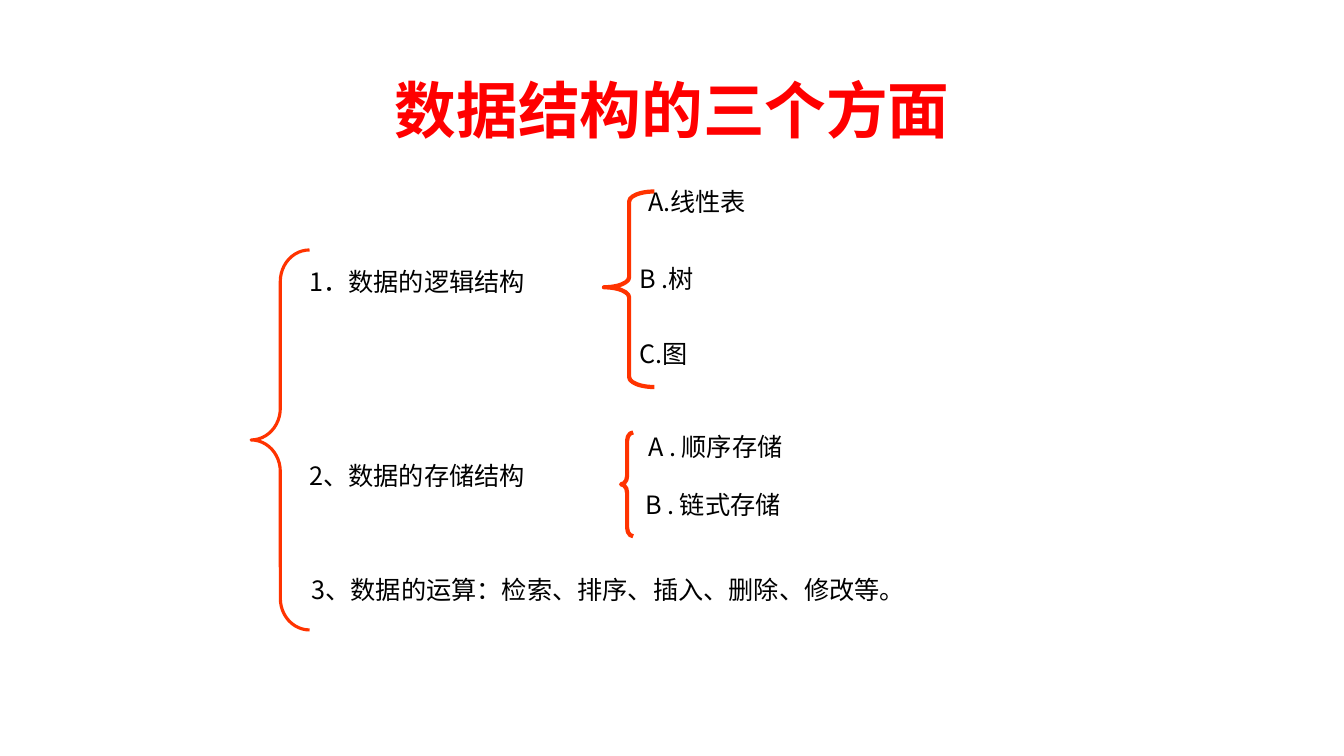
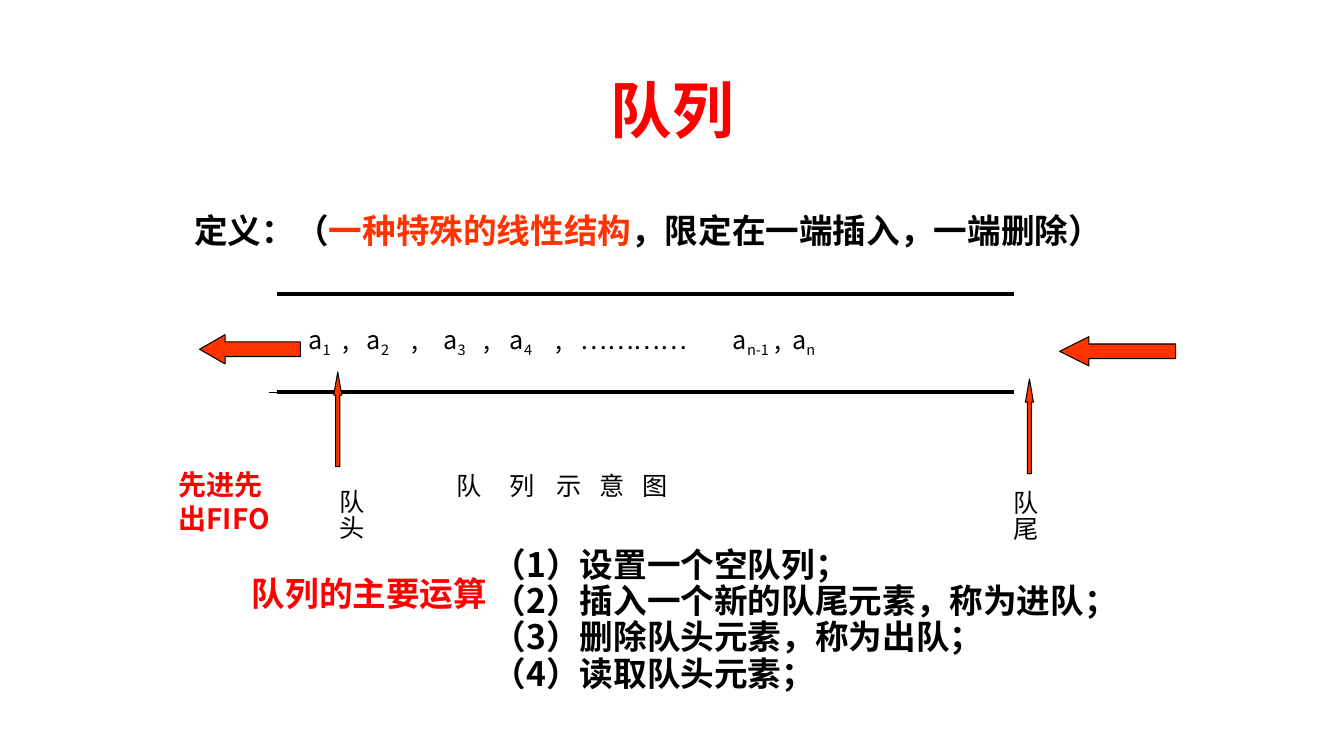
from lxml import etree
from pptx import Presentation
from pptx.dml.color import RGBColor
from pptx.enum.shapes import MSO_CONNECTOR, MSO_SHAPE
from pptx.enum.text import MSO_ANCHOR, MSO_AUTO_SIZE, PP_ALIGN
from pptx.oxml.ns import qn
from pptx.util import Inches, Pt

LEFT_BRACE, LEFT_ARROW, UP_ARROW = MSO_SHAPE.LEFT_BRACE, MSO_SHAPE.LEFT_ARROW, MSO_SHAPE.UP_ARROW
STRAIGHT = MSO_CONNECTOR.STRAIGHT
LEFT, CENTER = PP_ALIGN.LEFT, PP_ALIGN.CENTER
TOP, MIDDLE = MSO_ANCHOR.TOP, MSO_ANCHOR.MIDDLE
GROW, FIXED = MSO_AUTO_SIZE.SHAPE_TO_FIT_TEXT, MSO_AUTO_SIZE.NONE

COLORS = {"red": "FF0000", "accent": "FF3300", "black": "000000"}
TITLE_FONT, BODY_FONT = "Noto Sans CJK JP", "Noto Sans CJK SC"
TITLE_PLACE = (0.92, 0.4, 11.5, 1.45)
LINE_HEIGHT = 0.4

# Structure slide: (text, left, top, width)
ASPECTS_TITLE = "数据结构的三个方面"
ASPECTS = [
    ("1．数据的逻辑结构", 2.97, 2.59, 3.17),
    ("2、数据的存储结构", 2.97, 4.52, 3.17),
    ("3、数据的运算：检索、排序、插入、删除、修改等。", 2.99, 5.65, 7.92),
    ("A.线性表", 6.33, 1.8, 2.67),
    ("B .树", 6.24, 2.56, 2.67),
    ("C.图", 6.24, 3.31, 2.67),
    ("A . 顺序存储", 6.33, 4.23, 2.67),
    ("B . 链式存储", 6.3, 4.81, 2.67),
]
# (place, adjustments, line width)
BRACES = [
    ((2.49, 2.48, 0.58, 3.77), (0.54, 0.5), 2.25),
    ((5.99, 1.9, 0.5, 1.94), (0.2, 0.49), 3),
    ((6.16, 4.29, 0.12, 1.03), (0.69, 0.5), 3),
]

# Queue slide
QUEUE_TITLE = "队列"
DEFINITION = ["定义：（", ("一种特殊的线性结构", {"color": "accent"}), "，限定在一端插入，一端删除）"]
# (symbol, subscript, tab position)
ELEMENTS = [
    ("a", "1", 0.21), (",", "", 0.55), ("a", "2", 0.79), (",", "", 1.23),
    ("a", "3", 1.55), (",", "", 1.95), ("a", "4", 2.21), (",", "", 2.66),
    ("…………", "", 2.91), ("a", "n-1", 4.42), (",", "", 4.83), ("a", "n", 5.01),
]
CAPTION = [("队", 0.6), ("列", 1.13), ("示", 1.59), ("意", 2.02), ("图", 2.44)]
OPERATIONS_LABEL = "队列的主要运算"
OPERATIONS = ["设置一个空队列；", "插入一个新的队尾元素，称为进队；", "删除队头元素，称为出队；", "读取队头元素；"]
# (left, top, width)
RAILS = [(2.75, 2.92, 3), (2.67, 3.89, 0.75), (2.75, 3.89, 3)]
RAIL_LENGTH = 7.31
# (preset, place, head length ratio)
ARROWS = [
    (LEFT_ARROW, (1.98, 3.32, 1, 0.29), 0.87),
    (LEFT_ARROW, (10.51, 3.34, 1.15, 0.29), 1),
    (UP_ARROW, (3.31, 3.69, 0.08, 0.94), 2.88),
    (UP_ARROW, (10.17, 3.76, 0.08, 0.94), 2.88),
]
END_LABELS = [("队头", 3.08, 4.76), ("队尾", 9.77, 4.77)]


def inches(values):
    return [Inches(value) for value in values]


def rgb(name):
    return RGBColor.from_string(COLORS[name])


def add_span(para, text, size, color, bold, font, baseline=0):
    span = para.add_run()
    span.text = text
    span.font.size = Pt(size)
    span.font.bold = bold
    span.font.color.rgb = rgb(color)
    span.font.name = font
    properties = span.font._element
    etree.SubElement(properties, qn("a:ea"), typeface=font)
    if baseline:
        properties.set("baseline", str(baseline * 1000))


def add_text(slide, place, paragraphs, *, size=18, color="black", bold=False, font=BODY_FONT,
             align=LEFT, anchor=TOP, fit=GROW, spacing=1.0, tabs=(), vertical=False):
    """Each paragraph is a list of spans: a string, or a string with its own format."""
    box = slide.shapes.add_textbox(*inches(place))
    frame = box.text_frame
    frame.word_wrap = True
    frame.auto_size = fit
    frame.vertical_anchor = anchor
    if vertical:
        frame._txBody.bodyPr.set("vert", "eaVert")
    base = {"size": size, "color": color, "bold": bold, "font": font}
    for index, spans in enumerate(paragraphs):
        para = frame.add_paragraph() if index else frame.paragraphs[0]
        para.alignment = align
        para.line_spacing = spacing
        if tabs:
            stops = etree.SubElement(para._p.get_or_add_pPr(), qn("a:tabLst"))
            for tab in tabs:
                etree.SubElement(stops, qn("a:tab"), pos=str(Inches(tab)), algn="l")
        for item in spans:
            text, own = (item, {}) if isinstance(item, str) else item
            add_span(para, text, **{**base, **own})


def add_outline(slide, preset, place, adjustments, color, width, fill=None):
    shape = slide.shapes.add_shape(preset, *inches(place))
    shape.shadow.inherit = False
    for index, value in enumerate(adjustments):
        shape.adjustments[index] = value
    if fill:
        shape.fill.solid()
        shape.fill.fore_color.rgb = rgb(fill)
    else:
        shape.fill.background()
    shape.line.color.rgb = rgb(color)
    shape.line.width = Pt(width)


def add_rail(slide, left, top, width):
    rail = slide.shapes.add_connector(STRAIGHT, *inches((left, top, left + RAIL_LENGTH, top)))
    rail.line.color.rgb = rgb("black")
    rail.line.width = Pt(width)
    etree.SubElement(rail._element.spPr, qn("a:effectLst"))


def add_titled_slide(deck, title):
    slide = deck.slides.add_slide(deck.slide_layouts[6])
    add_text(slide, TITLE_PLACE, [[title]], size=44, color="red", bold=True, font=TITLE_FONT,
             align=CENTER, anchor=MIDDLE, fit=FIXED, spacing=0.9)
    return slide


def build_aspects(deck):
    slide = add_titled_slide(deck, ASPECTS_TITLE)
    for place, adjustments, width in BRACES:
        add_outline(slide, LEFT_BRACE, place, adjustments, "accent", width)
    for text, left, top, width in ASPECTS:
        add_text(slide, (left, top, width, LINE_HEIGHT), [[text]])


def build_queue(deck):
    slide = add_titled_slide(deck, QUEUE_TITLE)
    add_text(slide, (2.08, 5.59, 3.17, 0.58), [[OPERATIONS_LABEL]], size=24, color="red",
             bold=True, align=CENTER, anchor=MIDDLE, fit=FIXED)
    add_text(slide, (1.83, 2.03, 9.83, 0.5), [DEFINITION], size=24, bold=True)
    for rail in RAILS:
        add_rail(slide, *rail)

    spans = []
    for symbol, subscript, _ in ELEMENTS:
        spans.append("\t" + symbol)
        if subscript:
            spans.append((subscript, {"baseline": -25}))
    add_text(slide, (2.75, 3.17, 7.83, LINE_HEIGHT), [spans], tabs=[stop for *_, stop in ELEMENTS])
    add_text(slide, (3.83, 4.62, 4.77, LINE_HEIGHT), [["\t" + word for word, _ in CAPTION]],
             tabs=[stop for _, stop in CAPTION])

    for preset, place, head in ARROWS:
        add_outline(slide, preset, place, (0.5, head), "black", 0.75, fill="accent")
    for text, left, top in END_LABELS:
        add_text(slide, (left, top, 0.6, 0.87), [[text]], vertical=True)
    add_text(slide, (1.67, 4.59, 1.25, 0.77), [["先进先出FIFO"]], size=20, color="red", bold=True)
    add_text(slide, (4.79, 5.39, 6.33, 1.83),
             [[f"（{number}）{text}"] for number, text in enumerate(OPERATIONS, 1)],
             size=24, bold=True, fit=FIXED, spacing=0.9)


def main():
    deck = Presentation()
    deck.slide_width, deck.slide_height = inches((13.33, 7.5))
    build_aspects(deck)
    build_queue(deck)
    deck.save("out.pptx")


if __name__ == "__main__":
    main()
